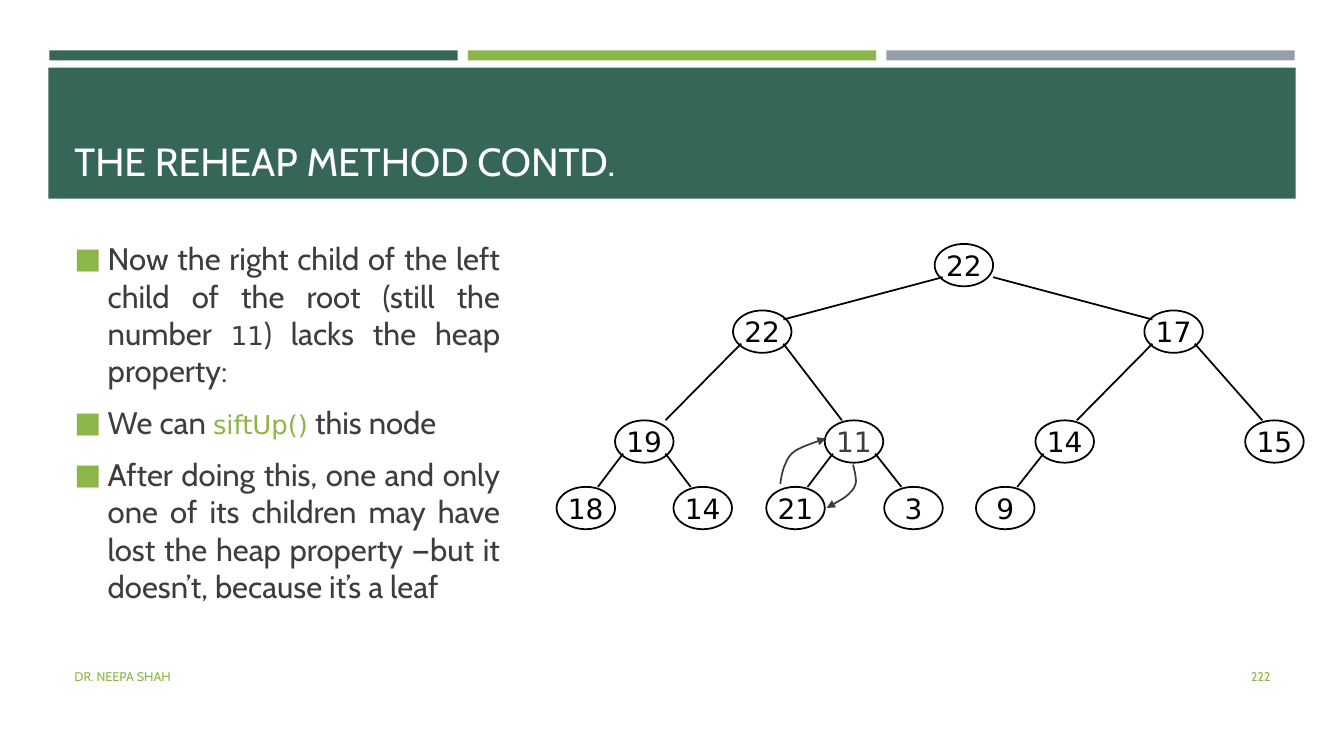
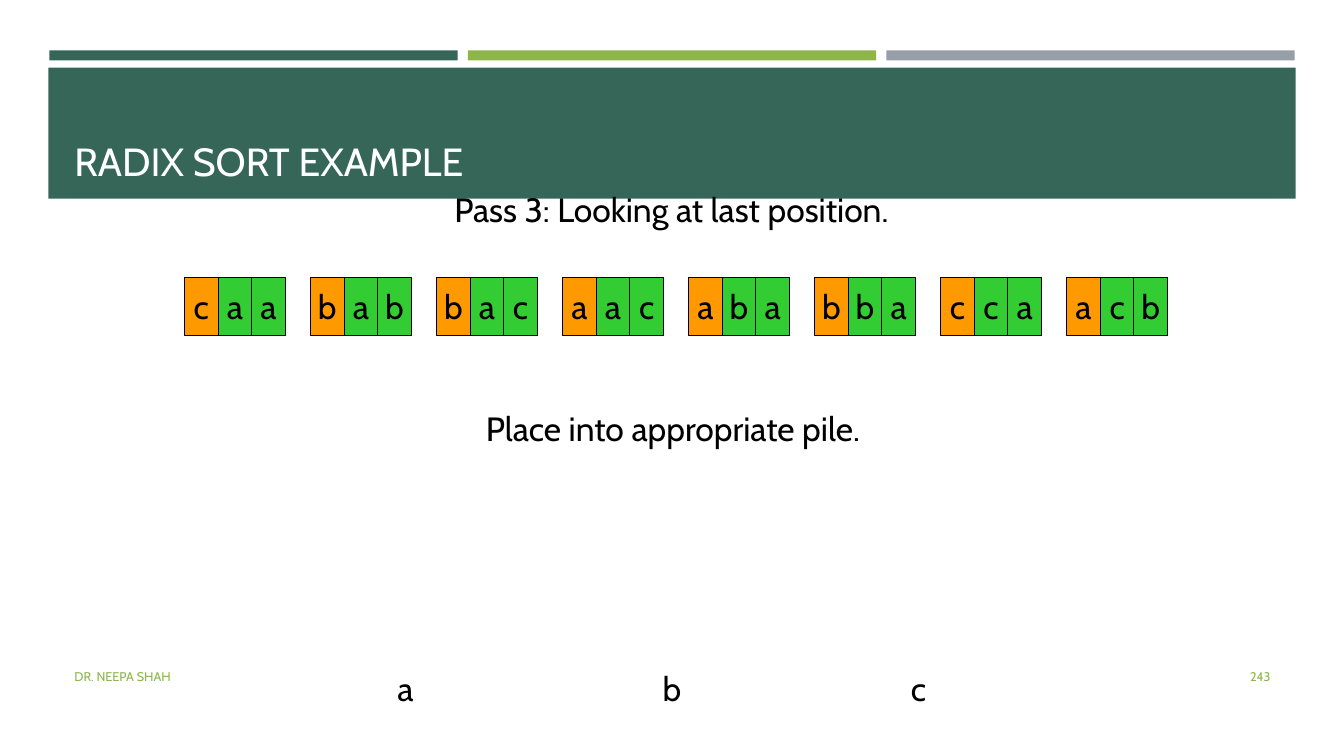
from lxml import etree
from pptx import Presentation
from pptx.dml.color import RGBColor
from pptx.enum.shapes import MSO_CONNECTOR, MSO_SHAPE
from pptx.enum.text import MSO_ANCHOR, PP_ALIGN
from pptx.oxml.ns import qn
from pptx.util import Emu, Pt

LEFT, CENTER, RIGHT, JUSTIFY = (PP_ALIGN.LEFT, PP_ALIGN.CENTER,
                                PP_ALIGN.RIGHT, PP_ALIGN.JUSTIFY)
TOP, MIDDLE, BOTTOM = MSO_ANCHOR.TOP, MSO_ANCHOR.MIDDLE, MSO_ANCHOR.BOTTOM
RECT, OVAL = MSO_SHAPE.RECTANGLE, MSO_SHAPE.OVAL
STRAIGHT = MSO_CONNECTOR.STRAIGHT

SCALE = 9144  # EMU in one px, 100 px to the inch
SANS, MONO = "Cabin", "DejaVu Sans"
GREEN, LIME, GRAY = "366658", "8CB64A", "969FA7"
INK, BLACK, WHITE = "3D3D3D", "000000", "FFFFFF"
ORANGE, BRIGHT_GREEN = "FF9900", "33CC33"

# Heap tree: key -> label, left, top, colour
NODE_W, NODE_H = 58, 42
NODES = {
    "root": ("22", 375, 0, BLACK),
    "l": ("22", 175, 66, BLACK), "r": ("17", 583, 66, BLACK),
    "ll": ("19", 58, 175, BLACK), "lr": ("11", 266, 175, INK),
    "rl": ("14", 475, 175, BLACK), "rr": ("15", 683, 175, BLACK),
    "lll": ("18", 0, 241, BLACK), "llr": ("14", 116, 241, BLACK),
    "lrl": ("21", 208, 241, BLACK), "lrr": ("3", 325, 241, BLACK),
    "rll": ("9", 416, 241, BLACK),
}
# Offsets of an edge: from the parent's centre, to the child's centre, below its top
EDGE = (21, 12, 0)
EDGE_EXCEPTIONS = {"l": (21, 21, 9), "r": (29, 21, 9), "ll": (21, 21, 0)}
# Swap arrows: start point, then three points for each curve
SWAP_ARROWS = [
    [(222, 238), (222, 235), (224, 224), (227, 218), (229, 213), (231, 209),
     (237, 205), (244, 201), (261, 195), (267, 193)],
    [(294, 219), (295, 222), (297, 231), (297, 236), (296, 241), (295, 243),
     (290, 248), (286, 252), (273, 259), (268, 262)],
]


def px(n):
    return Emu(round(n * SCALE))


def rgb(value):
    return RGBColor.from_string(value)


def add_run(p, text, size, color, font=SANS):
    r = p.add_run()
    r.text = text
    r.font.size = Pt(size)
    r.font.name = font
    r.font.color.rgb = rgb(color)


def add_shape(s, kind, box, fill=None, line=None, width=1):
    sp = s.shapes.add_shape(kind, *map(px, box))
    sp.shadow.inherit = False
    if fill:
        sp.fill.solid()
        sp.fill.fore_color.rgb = rgb(fill)
    else:
        sp.fill.background()
    if line:
        sp.line.color.rgb = rgb(line)
        sp.line.width = Pt(width)
    else:
        sp.line.fill.background()
    return sp


def label_shape(sp, text, size, color, font=SANS):
    tf = sp.text_frame
    tf.word_wrap = False
    tf.vertical_anchor = MIDDLE
    p = tf.paragraphs[0]
    p.alignment = CENTER
    add_run(p, text, size, color, font)


def add_text(s, box, text, size, color, align=LEFT, anchor=MIDDLE, wrap=True):
    tf = s.shapes.add_textbox(*map(px, box)).text_frame
    tf.word_wrap = wrap
    tf.vertical_anchor = anchor
    p = tf.paragraphs[0]
    p.alignment = align
    add_run(p, text, size, color)


def add_bullet(p, indent):
    pPr = p._p.get_or_add_pPr()
    pPr.set("marL", str(px(indent)))
    pPr.set("indent", str(-px(indent)))
    color = etree.SubElement(pPr, qn("a:buClr"))
    etree.SubElement(color, qn("a:srgbClr"), val=LIME)
    etree.SubElement(pPr, qn("a:buSzPct"), val="92000")
    etree.SubElement(pPr, qn("a:buFont"), typeface=SANS)
    etree.SubElement(pPr, qn("a:buChar"), char="■")


def add_base(prs, title, number):
    """Blank slide with bands, title and footer."""
    s = prs.slides.add_slide(prs.slide_layouts[6])
    for i, color in enumerate((GREEN, LIME, GRAY)):
        add_shape(s, RECT, (49 + 415 * i, 50, 405, 10), color)
    add_shape(s, RECT, (48, 67, 1237, 130), GREEN)
    add_text(s, (64, 77, 1206, 111), title, 28, WHITE, anchor=BOTTOM)
    add_text(s, (64, 651, 756, 40), "DR. NEEPA SHAH", 9, LIME)
    add_text(s, (1155, 651, 115, 40), number, 9, LIME, RIGHT)
    return s


def add_bullets(s, box, paragraphs):
    tf = s.shapes.add_textbox(*map(px, box)).text_frame
    tf.word_wrap = True
    tf.vertical_anchor = TOP
    tf.margin_top = 0
    for i, runs in enumerate(paragraphs):
        p = tf.add_paragraph() if i else tf.paragraphs[0]
        p.alignment = JUSTIFY
        p.space_after = Pt(10.4)
        add_bullet(p, 33)
        for run in runs:
            add_run(p, *run)


def add_edge(s, x1, y1, x2, y2):
    line = s.shapes.add_connector(STRAIGHT, px(x1), px(y1), px(x2), px(y2))
    line.line.color.rgb = rgb(BLACK)
    line.line.width = Pt(1.25)
    etree.SubElement(line._element.spPr, qn("a:effectLst"))


def add_curved_arrow(s, left, top, points):
    (x, y), *rest = [(left + dx, top + dy) for dx, dy in points]
    builder = s.shapes.build_freeform(x, y, scale=SCALE)
    builder.add_line_segments(rest, close=False)
    sp = builder.convert_to_shape()
    sp.shadow.inherit = False
    sp.fill.background()
    sp.line.color.rgb = rgb(INK)
    sp.line.width = Pt(1.25)
    # Turn every three straight segments into one Bézier curve
    outline = sp._element.spPr.find(".//" + qn("a:path"))
    for i, segment in enumerate(outline.findall(qn("a:lnTo"))):
        if i % 3 == 0:
            curve = etree.SubElement(outline, qn("a:cubicBezTo"))
        curve.append(segment[0])
        outline.remove(segment)
    etree.SubElement(sp.line._get_or_add_ln(), qn("a:tailEnd"), type="triangle")


def add_heap_tree(s, left, top):
    for key, (text, x, y, color) in NODES.items():
        box = (left + x, top + y, NODE_W, NODE_H)
        sp = add_shape(s, OVAL, box, line=BLACK, width=1.25)
        label_shape(sp, text, 20, color, MONO)
        if key == "root":
            continue
        # Edge from the parent, whose key lacks the last letter
        _, parent_x, parent_y, _ = NODES[key[:-1] or "root"]
        side = -1 if key[-1] == "l" else 1
        out, inner, drop = EDGE_EXCEPTIONS.get(key, EDGE)
        middle = left + NODE_W / 2
        add_edge(s, middle + parent_x + side * out, top + parent_y + 33,
                 middle + x - side * inner, top + y + drop)
    for points in SWAP_ARROWS:
        add_curved_arrow(s, left, top, points)


def add_words(s, left, top, words):
    """Row of words, one cell a letter, the first letter highlighted."""
    cell = 100 / 3
    for i, word in enumerate(words):
        for j, letter in enumerate(word):
            box = (left + 125 * i + cell * j, top, cell, 58)
            fill = BRIGHT_GREEN if j else ORANGE
            sp = add_shape(s, RECT, box, fill, BLACK, 0.75)
            label_shape(sp, letter, 24, BLACK)


def reheap_slide(prs):
    s = add_base(prs, "THE REHEAP METHOD CONTD.", "222")
    body = (22.2, INK)
    add_bullets(s, (64, 238, 442, 402), [
        [("Now the right child of the left child of the root (still the number ", *body),
         ("11", 18.5, INK, MONO), (") lacks the heap property:", *body)],
        [("We can ", *body), ("siftUp()", 18.5, LIME, MONO), (" this node", *body)],
        [("After doing this, one and only one of its children may have lost "
          "the heap property —but it doesn’t, because it’s a leaf", *body)],
    ])
    add_heap_tree(s, 552, 242)


def radix_slide(prs):
    s = add_base(prs, "RADIX SORT EXAMPLE", "243")
    add_words(s, 183, 275, "caa bab bac aac aba bba cca acb".split())
    captions = [
        ((423, 183, 486, 50), "Pass 3: Looking at last position."),
        ((461, 400, 413, 50), "Place into appropriate pile."),
        ((383, 658, 38, 50), "a"),
        ((647, 658, 39, 50), "b"),
        ((893, 658, 36, 50), "c"),
    ]
    for box, text in captions:
        add_text(s, box, text, 24, BLACK, CENTER, TOP, wrap=False)


def main():
    prs = Presentation()
    prs.slide_width, prs.slide_height = px(1333), px(750)
    reheap_slide(prs)
    radix_slide(prs)
    prs.save("out.pptx")


if __name__ == "__main__":
    main()
